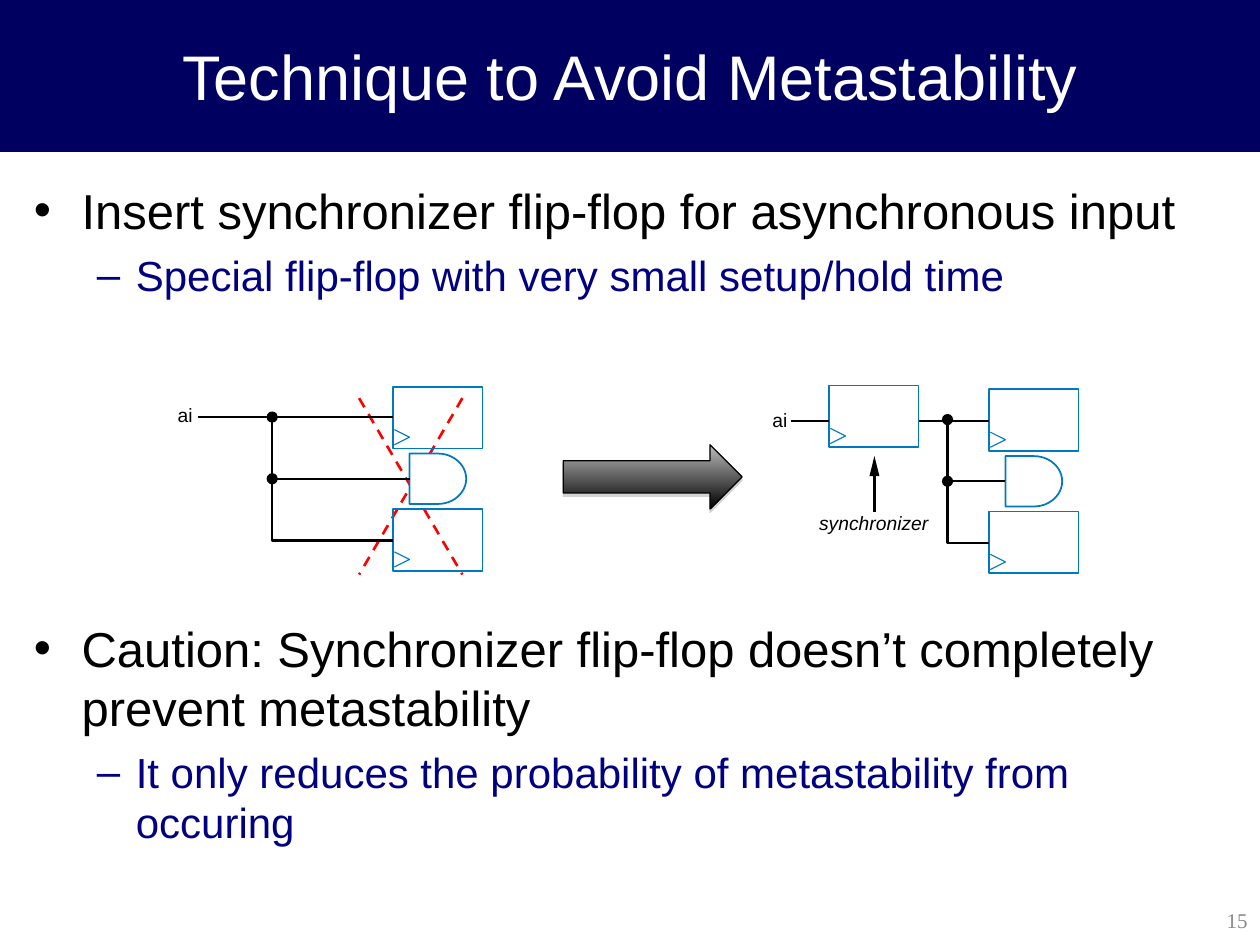
from lxml import etree
from pptx import Presentation
from pptx import util as u
from pptx.dml.color import RGBColor
from pptx.enum import dml, shapes, text
from pptx.oxml import ns

NAVY, INK = RGBColor(0, 0, 0x60), RGBColor(0, 0, 0)
SUB, WHITE = RGBColor(0, 0, 0x80), RGBColor(255, 255, 255)
BLUE, RED = RGBColor(0, 0x79, 0xC1), RGBColor(255, 0, 0)
GREY, PALE = RGBColor(0x89, 0x89, 0x89), RGBColor(0xBC, 0xBC, 0xBC)

# level, space before in points, wording
BODY = [
    (0, 0, "Insert synchronizer flip-flop for asynchronous input"),
    (1, 6, "Special flip-flop with very small setup/hold time"),
    (0, 182, "Caution: Synchronizer flip-flop doesn’t completely prevent metastability"),
    (1, 6, "It only reduces the probability of metastability from occuring"),
]
# bullet, left margin, hanging indent, size, colour
LEVELS = [("•", 0.38, 0.38, 28, INK), ("–", 0.81, 0.31, 24, SUB)]
# left, top, width, wording, italic
LABELS = [(1.41, 3.2, 0.15, "ai", False), (6.13, 3.24, 0.15, "ai", False),
          (6.5, 4.06, 0.95, "synchronizer", True)]
# left and top of the upper flip-flop, x of the shared wire
LOADS = [(3.12, 3.07, 2.16), (7.85, 3.09, 7.52)]
SYNC = (6.58, 3.06)
WIRES = [((1.57, 3.31), (3.12, 3.31)), ((7.29, 3.34), (7.85, 3.34)),
         ((6.28, 3.34), (6.58, 3.34)), ((6.94, 4.06), (6.94, 3.75))]
CROSS = [((3.67, 3.16), (2.85, 4.56)), ((2.85, 3.16), (3.67, 4.56))]
WIRE, EDGE, THIN = 1.39, 1, 0.62
FLOP_W, FLOP_H, ROW = 0.71, 0.49, 0.97

deck = Presentation()
deck.slide_width, deck.slide_height = u.Inches(10), u.Inches(7.5)
slide = deck.slides.add_slide(deck.slide_layouts[6])
parts = slide.shapes


def paint(item, fill, line, width):
    item.shadow.inherit = False
    if fill is None:
        item.fill.background()
    else:
        item.fill.solid()
        item.fill.fore_color.rgb = fill
    if line is None:
        item.line.fill.background()
    else:
        item.line.color.rgb = line
        item.line.width = u.Pt(width)
    return item


def shape(kind, box, fill=None, line=INK, width=THIN):
    item = parts.add_shape(kind, *map(u.Inches, box))
    return paint(item, fill, line, width)


def outline(points, fill=None, line=INK, width=WIRE, close=False):
    first, *rest = [(u.Inches(x), u.Inches(y)) for x, y in points]
    pen = parts.build_freeform(*first)
    pen.add_line_segments(rest, close=close)
    return paint(pen.convert_to_shape(), fill, line, width)


def wire(start, end, color=INK, width=WIRE):
    item = parts.add_connector(shapes.MSO_CONNECTOR.STRAIGHT,
                               *map(u.Inches, start + end))
    item.line.color.rgb = color
    item.line.width = u.Pt(width)
    etree.SubElement(item._element.spPr, ns.qn("a:effectLst"))
    return item


def frame(box, inset=(0.1, 0.05), anchor=text.MSO_ANCHOR.TOP, wrap=True):
    area = parts.add_textbox(*map(u.Inches, box)).text_frame
    side, edge = map(u.Inches, inset)
    looks = dict(margin_left=side, margin_right=side, margin_top=edge,
                 margin_bottom=edge, vertical_anchor=anchor, word_wrap=wrap)
    for name, value in looks.items():
        setattr(area, name, value)
    return area


def write(para, words, size, color, face="Arial", italic=False,
          align=text.PP_ALIGN.LEFT):
    para.alignment = align
    run = para.add_run()
    run.text = words
    for name, value in dict(size=u.Pt(size), name=face, italic=italic).items():
        setattr(run.font, name, value)
    run.font.color.rgb = color


def bullet(para, mark, left, hang, color):
    props = para._p.get_or_add_pPr()
    props.set("marL", str(u.Inches(left)))
    props.set("indent", str(-u.Inches(hang)))
    tint = etree.SubElement(props, ns.qn("a:buClr"))
    etree.SubElement(tint, ns.qn("a:srgbClr"), val=str(color))
    etree.SubElement(props, ns.qn("a:buFont"), typeface="Arial")
    etree.SubElement(props, ns.qn("a:buChar"), char=mark)


def flop(x, y):
    """Flip-flop box with its clock wedge."""
    shape(shapes.MSO_SHAPE.RECTANGLE, (x, y, FLOP_W, FLOP_H), line=BLUE, width=EDGE)
    outline([(x + 0.01, y + 0.46), (x + 0.13, y + 0.4), (x + 0.01, y + 0.34)],
            line=BLUE, width=THIN)


def load(x, y, bus):
    """Two flip-flops and a gate fed from one wire."""
    top, mid, low = y + 0.24, y + 0.73, y + 1.22
    shape(shapes.MSO_SHAPE.FLOWCHART_DELAY, (x + 0.13, y + 0.53, 0.45, 0.4),
          WHITE, BLUE, EDGE)
    wire((bus, mid), (x + 0.13, mid))
    for level in (top, mid):
        shape(shapes.MSO_SHAPE.OVAL, (bus - 0.04, level - 0.04, 0.08, 0.08), INK)
    flop(x, y)
    flop(x, y + ROW)
    outline([(x, low), (bus, low), (bus, top)])


shape(shapes.MSO_SHAPE.RECTANGLE, (0, 0, 10, 1.2), NAVY, NAVY, 0.75)
title = frame((0, 0, 10, 1.2), anchor=text.MSO_ANCHOR.MIDDLE)
write(title.paragraphs[0], "Technique to Avoid Metastability", 36, WHITE,
      align=text.PP_ALIGN.CENTER)

body = frame((0.17, 1.38, 9.66, 5.72))
for i, (level, gap, words) in enumerate(BODY):
    para = body.add_paragraph() if i else body.paragraphs[0]
    mark, left, hang, size, color = LEVELS[level]
    para.level, para.space_before = level, u.Pt(gap)
    bullet(para, mark, left, hang, color)
    write(para, words, size, color)

number = frame((7.88, 7.1, 2.12, 0.4), anchor=text.MSO_ANCHOR.MIDDLE)
write(number.paragraphs[0], "15", 12, GREY, "Times New Roman",
      align=text.PP_ALIGN.RIGHT)

for start, end in CROSS:
    wire(start, end, RED, 1.5).line.dash_style = dml.MSO_LINE.DASH
for group in LOADS:
    load(*group)
flop(*SYNC)
for start, end in WIRES:
    wire(start, end)
outline([(6.94, 3.62), (6.9, 3.78), (6.98, 3.78)], INK, None, close=True)
for x, y, width, words, italic in LABELS:
    label = frame((x, y, width, 0.18), (0, 0))
    write(label.paragraphs[0], words, 11, INK, italic=italic)

arrow = shape(shapes.MSO_SHAPE.RIGHT_ARROW, (4.47, 3.53, 1.42, 0.51), INK, INK, 0.75)
arrow.fill.gradient()
arrow.fill.gradient_angle = 270
for stop, color, place in zip(arrow.fill.gradient_stops, (PALE, INK), (0, 1)):
    stop.color.rgb, stop.position = color, place
effects = arrow._element.spPr.find(ns.qn("a:effectLst"))
shade = etree.SubElement(effects, ns.qn("a:outerShdw"), dist=str(u.Pt(1.8)),
                         dir="5400000", rotWithShape="0")
tone = etree.SubElement(shade, ns.qn("a:srgbClr"), val="808080")
etree.SubElement(tone, ns.qn("a:alpha"), val="35000")

deck.save("out.pptx")
